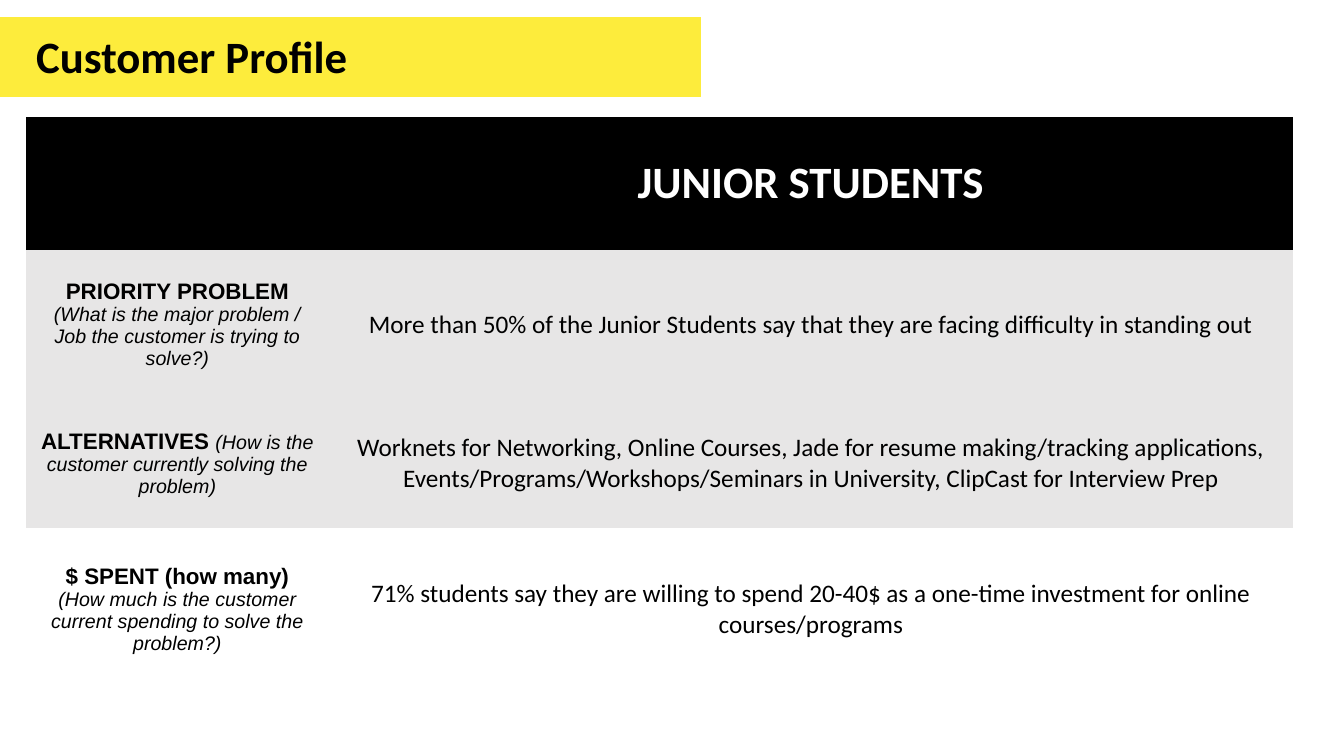
"""Builds the customer profile slide: a title band above a two-column table."""
import pptx
import pptx.dml.color
import pptx.enum.shapes
import pptx.enum.text
import pptx.oxml.ns
import pptx.util

Pt = pptx.util.Pt
BLACK, WHITE, GREY, YELLOW = "000000", "FFFFFF", "E7E6E6", "FDEC3C"
PLAIN_TABLE = "{2D5ABB26-0587-4C30-8999-92F81FD0307C}"
HEADING = dict(name="Calibri", size=Pt(32), bold=True, italic=False)
ANSWER = dict(name="Calibri", size=Pt(18), bold=False, italic=False)
LABEL = dict(name="Arial", size=Pt(16), bold=True, italic=False)
HINT = dict(name="Arial", size=Pt(14), bold=False, italic=True)


def rgb(color):
    return pptx.dml.color.RGBColor.from_string(color)


class Deck:
    def __init__(self, width, height):
        self.prs = pptx.Presentation()
        self.prs.slide_width, self.prs.slide_height = Pt(width), Pt(height)
        self.s = self.prs.slides.add_slide(self.prs.slide_layouts[6])

    def add_runs(self, tf, paragraphs, color=BLACK, align="LEFT"):
        tf.word_wrap = True
        for i, runs in enumerate(paragraphs):
            p = tf.add_paragraph() if i else tf.paragraphs[0]
            p.alignment = getattr(pptx.enum.text.PP_ALIGN, align)
            for text, style in runs:
                r = p.add_run()
                r.text = text
                r.font.color.rgb = rgb(color)
                for key, value in style.items():
                    setattr(r.font, key, value)

    def band(self, x, y, w, h, color):
        kind = pptx.enum.shapes.MSO_SHAPE.RECTANGLE
        sp = self.s.shapes.add_shape(kind, Pt(x), Pt(y), Pt(w), Pt(h))
        sp.shadow.inherit = False
        sp.fill.solid()
        sp.fill.fore_color.rgb = sp.line.color.rgb = rgb(color)
        sp.line.width = Pt(0.75)

    def text(self, x, y, w, h, text, style):
        sp = self.s.shapes.add_textbox(Pt(x), Pt(y), Pt(w), Pt(h))
        self.add_runs(sp.text_frame, [[(text, style)]])

    def table(self, x, y, widths, heights, rows):
        frame = self.s.shapes.add_table(len(rows), len(widths), Pt(x), Pt(y),
                                        Pt(sum(widths)), Pt(sum(heights)))
        tbl = frame.table
        tbl.first_row = tbl.horz_banding = False
        tbl._tbl.tblPr.find(pptx.oxml.ns.qn("a:tableStyleId")).text = PLAIN_TABLE
        for col, width in zip(tbl.columns, widths):
            col.width = Pt(width)
        for row, height, (fill, color, contents) in zip(tbl.rows, heights, rows):
            row.height = Pt(height)
            for cell, paragraphs in zip(row.cells, contents):
                cell.vertical_anchor = pptx.enum.text.MSO_ANCHOR.MIDDLE
                if fill:
                    cell.fill.solid()
                    cell.fill.fore_color.rgb = rgb(fill)
                else:
                    cell.fill.background()
                self.add_runs(cell.text_frame, paragraphs, color, "CENTER")


def main():
    deck = Deck(960, 540)
    deck.band(0, 12.24, 500.4, 56.88, YELLOW)
    deck.text(18.72, 17.28, 461.5, 46, "Customer Profile", HEADING)
    problem = [
        [("PRIORITY PROBLEM", LABEL)],
        [("(What is the major problem / Job the customer is trying to solve?)", HINT)],
    ]
    alternatives = [[
        ("ALTERNATIVES ", LABEL),
        ("(How is the customer currently solving the problem)", HINT),
    ]]
    spent = [
        [("$ SPENT (how many)", LABEL)],
        [("(How much is the customer current spending to solve the problem?)", HINT)],
    ]
    answers = [
        "More than 50% of the Junior Students say that they are facing difficulty in standing out",
        "Worknets for Networking, Online Courses, Jade for resume making/tracking applications, "
        "Events/Programs/Workshops/Seminars in University, ClipCast for Interview Prep",
        "71% students say they are willing to spend 20-40$ as a one-time investment for online "
        "courses/programs",
    ]
    rows = [(BLACK, WHITE, [[], [[("JUNIOR STUDENTS", HEADING)]]])]
    for fill, label, answer in zip([GREY, GREY, None], [problem, alternatives, spent], answers):
        rows.append((fill, BLACK, [label, [[(answer, ANSWER)]]]))
    deck.table(18.72, 83.52, [216, 689], [95, 106.5, 92.2, 116.6], rows)
    deck.prs.save("out.pptx")


if __name__ == "__main__":
    main()
